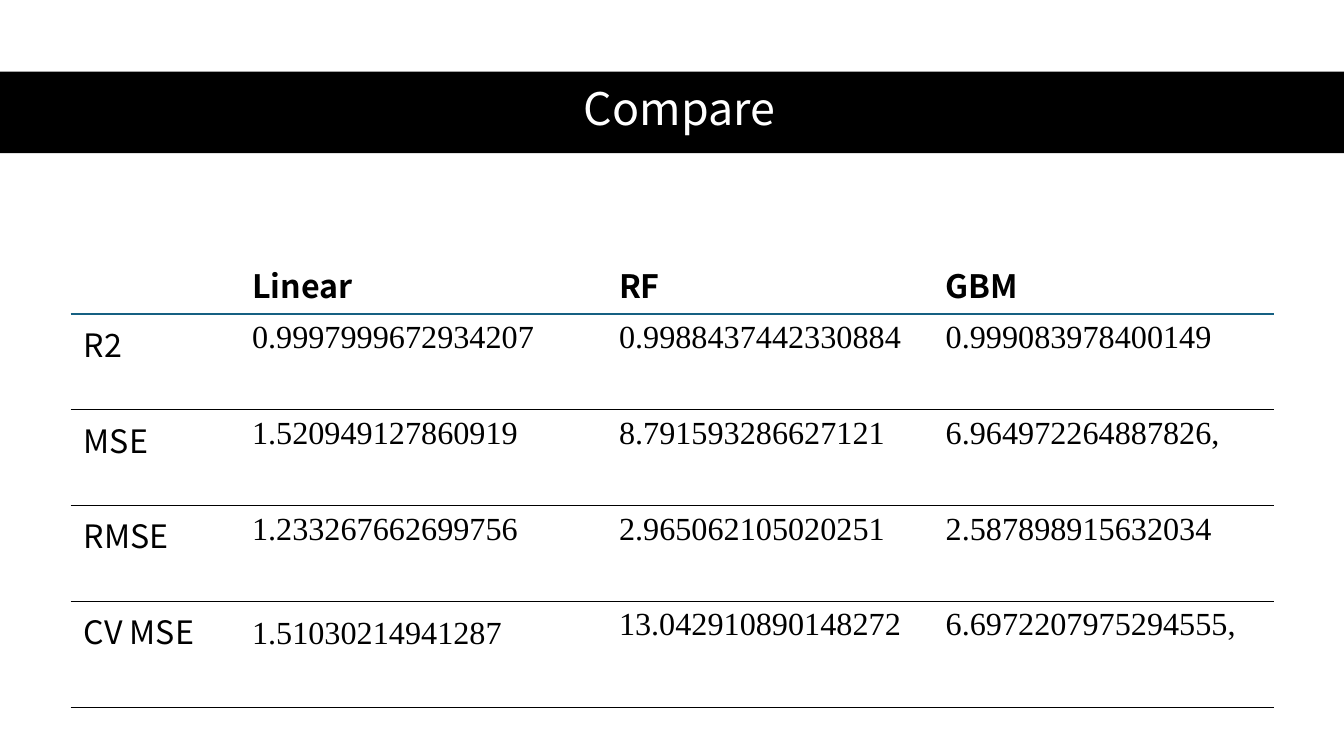
"""Build a slide that compares three regression models by their error scores."""
import dataclasses

import lxml.etree
import pptx
import pptx.dml.color
import pptx.enum.shapes
import pptx.enum.text
import pptx.oxml.ns
import pptx.util

Inches = pptx.util.Inches
Pt = pptx.util.Pt


@dataclasses.dataclass(frozen=True)
class Theme:
    ink: str = "000000"
    paper: str = "FFFFFF"
    accent: str = "156082"
    sans: str = "Noto Sans CJK SC"
    serif: str = "Times New Roman"
    title_size: int = 32
    table_size: int = 23
    header_rule: float = 1.5
    row_rule: float = 0.25


def write(frame, text, *, font, size, color, bold=False, align=None, spacing=None):
    para = frame.paragraphs[0]
    para.alignment = align
    para.line_spacing = spacing
    span = para.add_run()
    span.text = text
    span.font.name = font
    span.font.size = Pt(size)
    span.font.bold = bold
    span.font.color.rgb = pptx.dml.color.RGBColor.from_string(color)


class SlideBuilder:
    def __init__(self, slide, theme):
        self.slide = slide
        self.theme = theme

    def title(self, text, left, top, width, height):
        box = self.slide.shapes.title
        box.left, box.top = Inches(left), Inches(top)
        box.width, box.height = Inches(width), Inches(height)
        frame = box.text_frame
        frame.auto_size = pptx.enum.text.MSO_AUTO_SIZE.NONE
        frame.vertical_anchor = pptx.enum.text.MSO_ANCHOR.MIDDLE
        write(frame, text, font=self.theme.sans, size=self.theme.title_size,
              color=self.theme.paper, align=pptx.enum.text.PP_ALIGN.CENTER, spacing=0.9)

    def band(self, left, top, width, height):
        box = self.slide.shapes.add_shape(
            pptx.enum.shapes.MSO_SHAPE.RECTANGLE,
            Inches(left), Inches(top), Inches(width), Inches(height))
        box.shadow.inherit = False
        box.fill.solid()
        box.fill.fore_color.rgb = pptx.dml.color.RGBColor.from_string(self.theme.ink)
        box.line.fill.background()
        self.slide.shapes.title.element.addprevious(box.element)

    def borders(self, cell, rules):
        properties = cell._tc.get_or_add_tcPr()
        qn = pptx.oxml.ns.qn
        for index, side in enumerate(("lnL", "lnR", "lnT", "lnB")):
            line = lxml.etree.Element(qn(f"a:{side}"))
            if side in rules:
                color, width = rules[side]
                line.set("w", str(int(Pt(width))))
                fill = lxml.etree.SubElement(line, qn("a:solidFill"))
                lxml.etree.SubElement(fill, qn("a:srgbClr"), val=color)
            else:
                lxml.etree.SubElement(line, qn("a:noFill"))
            properties.insert(index, line)

    def table(self, rows, left, top, widths, heights, lowered):
        theme = self.theme
        table = self.slide.shapes.add_table(
            len(rows), len(widths), Inches(left), Inches(top),
            Inches(sum(widths)), Inches(sum(heights))).table
        table.first_row = table.horz_banding = False
        for column, width in zip(table.columns, widths):
            column.width = Inches(width)
        for row, height in zip(table.rows, heights):
            row.height = Inches(height)
        header_rule = (theme.accent, theme.header_rule)
        row_rule = (theme.ink, theme.row_rule)
        for r, values in enumerate(rows):
            rules = {"lnB": row_rule if r else header_rule}
            if r:
                rules["lnT"] = header_rule if r == 1 else row_rule
            for c, text in enumerate(values):
                cell = table.cell(r, c)
                cell.fill.background()
                cell.margin_left = cell.margin_right = Inches(0.13)
                cell.margin_top = Inches(lowered.get((r, c), 0.06))
                cell.margin_bottom = Inches(0.06)
                self.borders(cell, rules)
                if text:
                    write(cell.text_frame, text,
                          font=theme.serif if r and c else theme.sans,
                          size=theme.table_size, color=theme.ink, bold=r == 0)


def main():
    deck = pptx.Presentation()
    deck.slide_width, deck.slide_height = Inches(13.33), Inches(7.5)
    builder = SlideBuilder(deck.slides.add_slide(deck.slide_layouts[5]), Theme())
    builder.band(0, 0.71, 13.33, 0.81)
    builder.title("Compare", 0.61, 0.7, 12.26, 0.81)
    scores = [
        ("", "Linear", "RF", "GBM"),
        ("R2", "0.9997999672934207", "0.9988437442330884", "0.999083978400149"),
        ("MSE", "1.520949127860919", "8.791593286627121", "6.964972264887826,"),
        ("RMSE", "1.233267662699756", "2.965062105020251", "2.587898915632034"),
        ("CV MSE", "1.51030214941287", "13.042910890148272", "6.6972207975294555,"),
    ]
    builder.table(scores, 0.7, 2.53, widths=[1.67, 3.64, 3.24, 3.39],
                  heights=[0.56] + [0.95] * 3 + [1.05], lowered={(4, 1): 0.15})
    deck.save("out.pptx")


if __name__ == "__main__":
    main()
